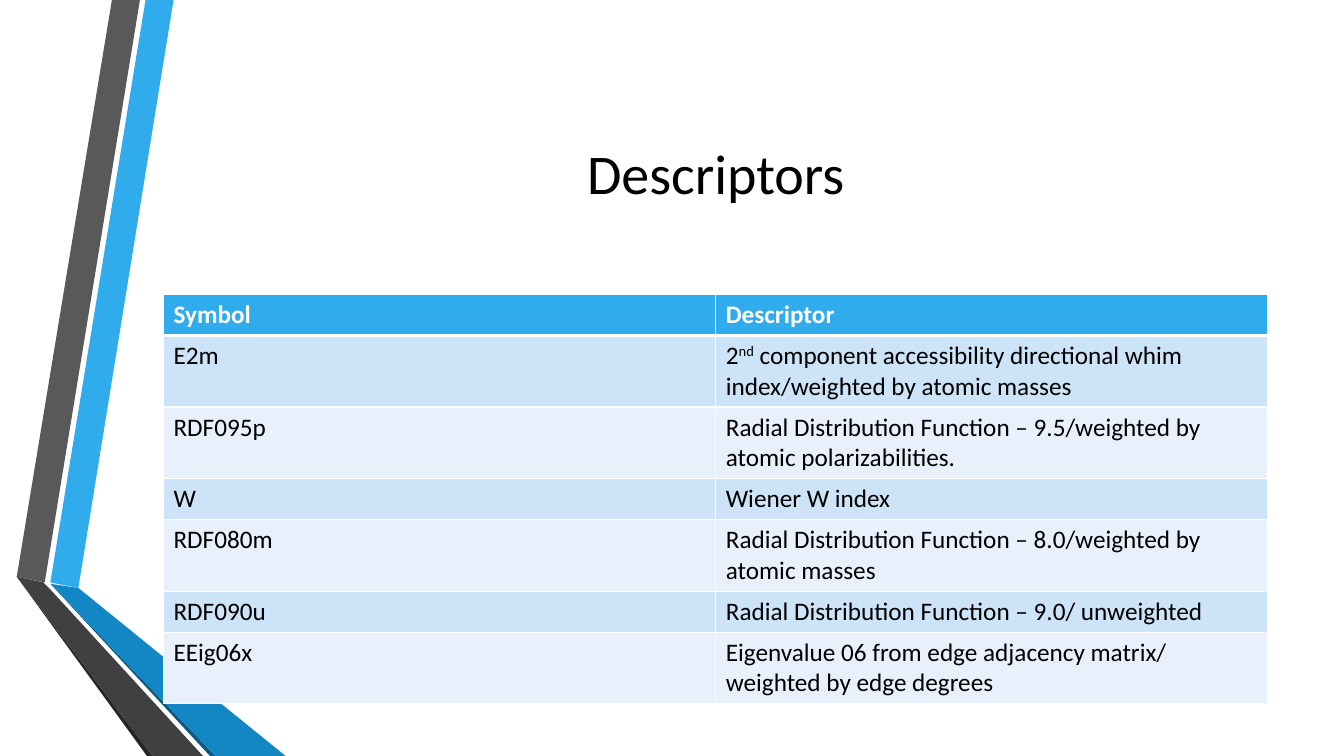
from lxml.etree import SubElement
from pptx import Presentation
from pptx.dml.color import RGBColor
from pptx.enum.text import MSO_ANCHOR, PP_ALIGN
from pptx.oxml.ns import qn
from pptx.util import Pt

FONT = "Calibri"
BLACK, WHITE, BLUE = "000000", "FFFFFF", "30ACEC"
BANDS = ("CDE3F8", "E8F1FB")
LEFT, WIDTH = 116.8, 789
ONE_LINE, TWO_LINES = 29.2, 51.2

RIBBONS = [
    (BLUE, [(36, 416.2), (55.6, 419.6), (124.4, 0), (104.4, 0)]),
    ("595959", [(100, 0), (80, 0), (11.8, 412.4), (31.6, 415.6)]),
    ("262626", [(11.8, 412.4), (104.6, 540), (108.6, 540)]),
    ("0C5A82", [(36, 416.6), (149.8, 540), (154.2, 540)]),
    ("1287C3", [(36, 416.6), (154.2, 540), (203.8, 540), (55.6, 419.6)]),
    ("404040", [(145.2, 540), (34.6, 419.6), (31.4, 415.6), (11.8, 412.4), (108.6, 540)]),
]

DESCRIPTORS = [
    ("E2m", ("2", "nd", " component accessibility directional whim "
             "index/weighted by atomic masses"), TWO_LINES),
    ("RDF095p", ("Radial Distribution Function – 9.5/weighted by "
                 "atomic polarizabilities.",), TWO_LINES),
    ("W", ("Wiener W index",), ONE_LINE),
    ("RDF080m", ("Radial Distribution Function – 8.0/weighted by atomic masses",), TWO_LINES),
    ("RDF090u", ("Radial Distribution Function – 9.0/ unweighted",), ONE_LINE),
    ("EEig06x", ("Eigenvalue 06 from edge adjacency matrix/ "
                 "weighted by edge degrees",), TWO_LINES),
]


def color(value):
    """Turn a hex string into a colour."""
    return RGBColor.from_string(value)


def format_run(run, size, ink, bold=False):
    """Set the font of one run."""
    run.font.name = FONT
    run.font.size = Pt(size)
    run.font.bold = bold
    run.font.color.rgb = color(ink)


def add_ribbon(slide, fill, corners):
    """Draw one facet of the folded ribbons."""
    outline = slide.shapes.build_freeform(*corners[0], scale=Pt(1))
    outline.add_line_segments(corners[1:], close=True)
    facet = outline.convert_to_shape()
    facet.shadow.inherit = False
    facet.fill.solid()
    facet.fill.fore_color.rgb = color(fill)
    facet.line.fill.background()


def set_title(slide, wording):
    """Place and format the slide title."""
    title = slide.shapes.title
    title.left, title.top = Pt(LEFT), Pt(54)
    title.width, title.height = Pt(WIDTH), Pt(138)
    title.text_frame.text = wording
    title.text_frame.vertical_anchor = MSO_ANCHOR.MIDDLE
    heading = title.text_frame.paragraphs[0]
    heading.alignment = PP_ALIGN.CENTER
    format_run(heading.runs[0], 40, BLACK)


def add_borders(cell, top, bottom):
    """Draw white cell borders, with top and bottom widths in points."""
    properties = cell._tc.get_or_add_tcPr()
    for side, width in (("L", 1), ("R", 1), ("T", top), ("B", bottom)):
        border = SubElement(properties, qn(f"a:ln{side}"), w=str(Pt(width)))
        fill = SubElement(border, qn("a:solidFill"))
        SubElement(fill, qn("a:srgbClr"), val=WHITE)


def fill_cell(cell, pieces, fill, ink, bold=False):
    """Write a cell's text, raising every second piece."""
    paragraph = cell.text_frame.paragraphs[0]
    for index, piece in enumerate(pieces):
        run = paragraph.add_run()
        run.text = piece
        format_run(run, 18, ink, bold)
        if index % 2:
            run._r.get_or_add_rPr().set("baseline", "30000")
    cell.fill.solid()
    cell.fill.fore_color.rgb = color(fill)


def add_descriptor_table(slide):
    """Add the table of symbols and descriptors."""
    rows = [("Symbol", ("Descriptor",), ONE_LINE)] + DESCRIPTORS
    total = sum(height for _, _, height in rows)
    table = slide.shapes.add_table(
        len(rows), 2, Pt(LEFT), Pt(210.4), Pt(WIDTH), Pt(total)).table
    for number, (symbol, descriptor, height) in enumerate(rows):
        table.rows[number].height = Pt(height)
        header = number == 0
        fill = BLUE if header else BANDS[(number - 1) % 2]
        for column, pieces in enumerate(((symbol,), descriptor)):
            cell = table.cell(number, column)
            add_borders(cell, 3 if number == 1 else 1, 3 if header else 1)
            fill_cell(cell, pieces, fill, WHITE if header else BLACK, header)


def main():
    """Build and save the slide."""
    deck = Presentation()
    deck.slide_width, deck.slide_height = Pt(960), Pt(540)
    slide = deck.slides.add_slide(deck.slide_layouts[5])
    for fill, corners in RIBBONS:
        add_ribbon(slide, fill, corners)
    set_title(slide, "Descriptors")
    add_descriptor_table(slide)
    deck.save("out.pptx")


main()
